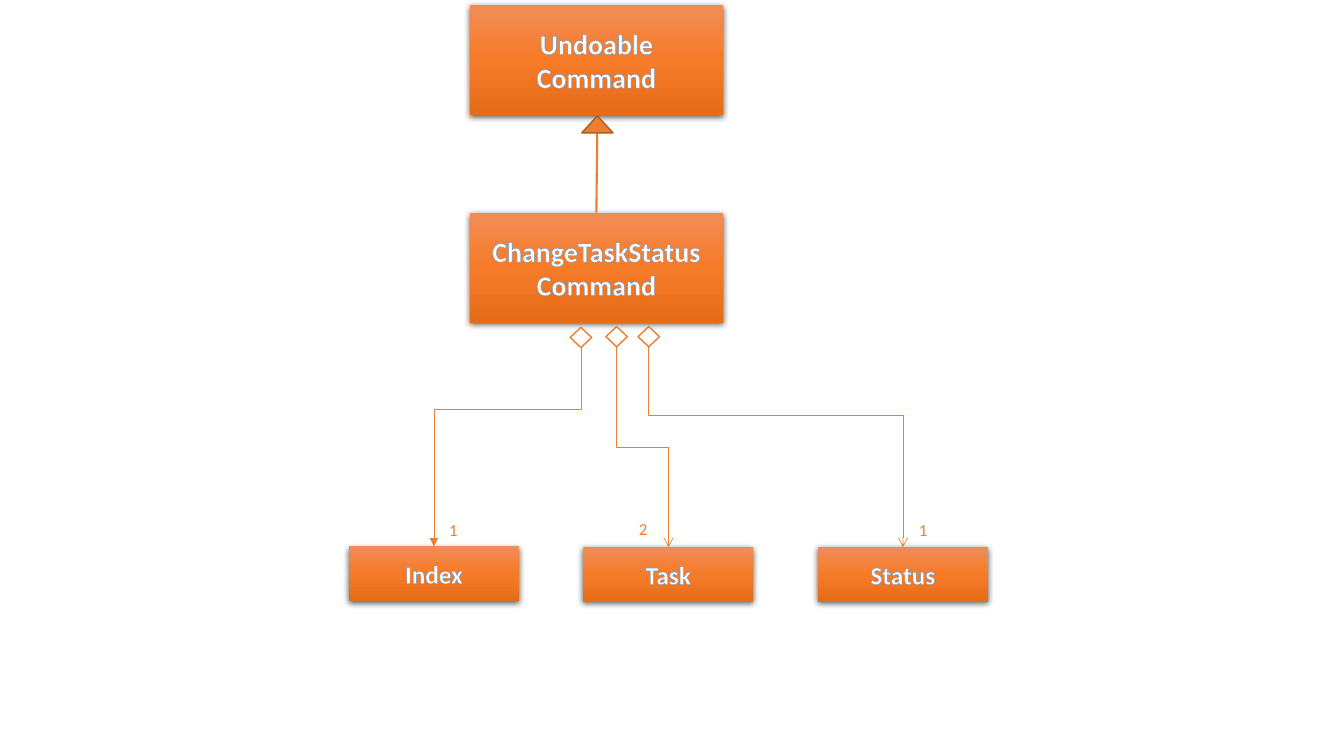
from lxml import etree
from pptx import Presentation
from pptx import util as u
from pptx.dml.color import RGBColor
from pptx.enum import shapes, text
from pptx.oxml.ns import qn

WHITE = RGBColor(0xFF, 0xFF, 0xFF)
ORANGE = RGBColor(0xED, 0x7D, 0x31)
BROWN = RGBColor(0xAF, 0x5C, 0x24)
BLUE = RGBColor(0x5B, 0x9B, 0xD5)
BLACK = RGBColor(0x00, 0x00, 0x00)
GRADIENT = {
    0: RGBColor(0xF1, 0x8C, 0x57),
    50: RGBColor(0xF6, 0x7B, 0x28),
    100: RGBColor(0xE5, 0x6C, 0x19),
}
FONT = "Calibri"


def add_node(parent, tag, **attributes):
    values = {name: str(value) for name, value in attributes.items()}
    return etree.SubElement(parent, qn(tag), values)


def write_text(frame, content, size, color, bold=False, align=text.PP_ALIGN.LEFT, outline=None):
    frame.word_wrap = True
    for index, line in enumerate(content.split("\n")):
        para = frame.add_paragraph() if index else frame.paragraphs[0]
        para.alignment = align
        span = para.add_run()
        span.text = line
        span.font.name = FONT
        span.font.size = u.Pt(size)
        span.font.bold = bold
        span.font.color.rgb = color
        if outline:
            edge = etree.Element(qn("a:ln"), w=str(u.Pt(0.8)))
            add_node(add_node(edge, "a:solidFill"), "a:srgbClr", val=outline)
            span.font._element.insert(0, edge)


class ClassDiagram:
    def __init__(self, slide):
        self.shapes = slide.shapes

    def preset(self, kind, left, top, width, height):
        shape = self.shapes.add_shape(kind, u.Cm(left), u.Cm(top), u.Cm(width), u.Cm(height))
        shape.shadow.inherit = False
        return shape

    def class_box(self, name, left, top, width, height, size):
        box = self.preset(shapes.MSO_SHAPE.RECTANGLE, left, top, width, height)
        box.fill.gradient()
        box.fill.gradient_angle = 270
        stops = box.element.find(".//" + qn("a:gsLst"))
        for stop in list(stops):
            stops.remove(stop)
        for percent, color in GRADIENT.items():
            stop = add_node(stops, "a:gs", pos=percent * 1000)
            add_node(stop, "a:srgbClr", val=color)
        box.line.fill.background()
        effects = box.element.spPr.find(qn("a:effectLst"))
        shadow = add_node(effects, "a:outerShdw", blurRad=u.Pt(4.5), dist=u.Pt(1.5),
                          dir=5400000, algn="ctr", rotWithShape=0)
        add_node(add_node(shadow, "a:srgbClr", val=BLACK), "a:alpha", val=63000)
        box.text_frame.vertical_anchor = text.MSO_ANCHOR.MIDDLE
        write_text(box.text_frame, name, size, WHITE, bold=True,
                   align=text.PP_ALIGN.CENTER, outline=BLUE)

    def marker(self, kind, left, top, width, height, fill, line):
        mark = self.preset(kind, left, top, width, height)
        mark.fill.solid()
        mark.fill.fore_color.rgb = fill
        mark.line.color.rgb = line
        mark.line.width = u.Pt(1)

    def connector(self, kind, x1, y1, x2, y2, width):
        link = self.shapes.add_connector(kind, u.Cm(x1), u.Cm(y1), u.Cm(x2), u.Cm(y2))
        link.line.color.rgb = ORANGE
        link.line.width = u.Pt(width)
        add_node(link.element.spPr, "a:effectLst")
        return link

    def elbow_down(self, x1, y1, x2, y2, bend, head):
        run, drop = abs(x2 - x1), y2 - y1
        left, top = (x1 + x2 - drop) / 2, (y1 + y2 - run) / 2
        link = self.connector(shapes.MSO_CONNECTOR.ELBOW, left, top, left + drop, top + run, 0.5)
        frame = link.element.spPr.find(qn("a:xfrm"))
        if x2 > x1:
            frame.set("rot", "16200000")
            frame.set("flipH", "1")
        else:
            frame.set("rot", "5400000")
        guides = link.element.find(".//" + qn("a:avLst"))
        add_node(guides, "a:gd", name="adj1", fmla=f"val {round(bend * 100000)}")
        add_node(link.element.spPr.find(qn("a:ln")), "a:tailEnd", type=head)

    def label(self, content, left, top):
        box = self.shapes.add_textbox(u.Cm(left), u.Cm(top), u.Cm(0.76), u.Cm(0.76))
        write_text(box.text_frame, content, 12, ORANGE)


def main():
    deck = Presentation()
    deck.slide_width, deck.slide_height = u.Cm(33.87), u.Cm(19.05)
    diagram = ClassDiagram(deck.slides.add_slide(deck.slide_layouts[6]))

    for name, top in (("Undoable\nCommand", 0.13), ("ChangeTaskStatus\nCommand", 5.36)):
        diagram.class_box(name, 11.84, top, 6.38, 2.77, 20)
    diagram.connector(shapes.MSO_CONNECTOR.STRAIGHT, 15.03, 5.36, 15.05, 3.35, 1.5)
    diagram.marker(shapes.MSO_SHAPE.ISOSCELES_TRIANGLE, 14.66, 2.92, 0.79, 0.43, ORANGE, BROWN)

    parts = (
        ("Index", 13.77, 14.64, 8.25, 0.31, "triangle", "1", 11.07, 12.98),
        ("Task", 13.79, 15.54, 8.23, 0.5, "arrow", "2", 15.85, 12.95),
        ("Status", 13.79, 16.35, 8.23, 0.34, "arrow", "1", 22.91, 12.98),
    )
    width = 4.29
    for index, part in enumerate(parts):
        name, top, start, diamond_top, bend, head, count, label_left, label_top = part
        left = 8.79 + index * 5.91
        diagram.class_box(name, left, top, width, 1.37, 18)
        diagram.marker(shapes.MSO_SHAPE.DIAMOND, start - 0.27, diamond_top, 0.54, 0.51, WHITE, ORANGE)
        diagram.elbow_down(start, diamond_top + 0.51, left + width / 2, top, bend, head)
        diagram.label(count, label_left, label_top)

    deck.save("out.pptx")


if __name__ == "__main__":
    main()
